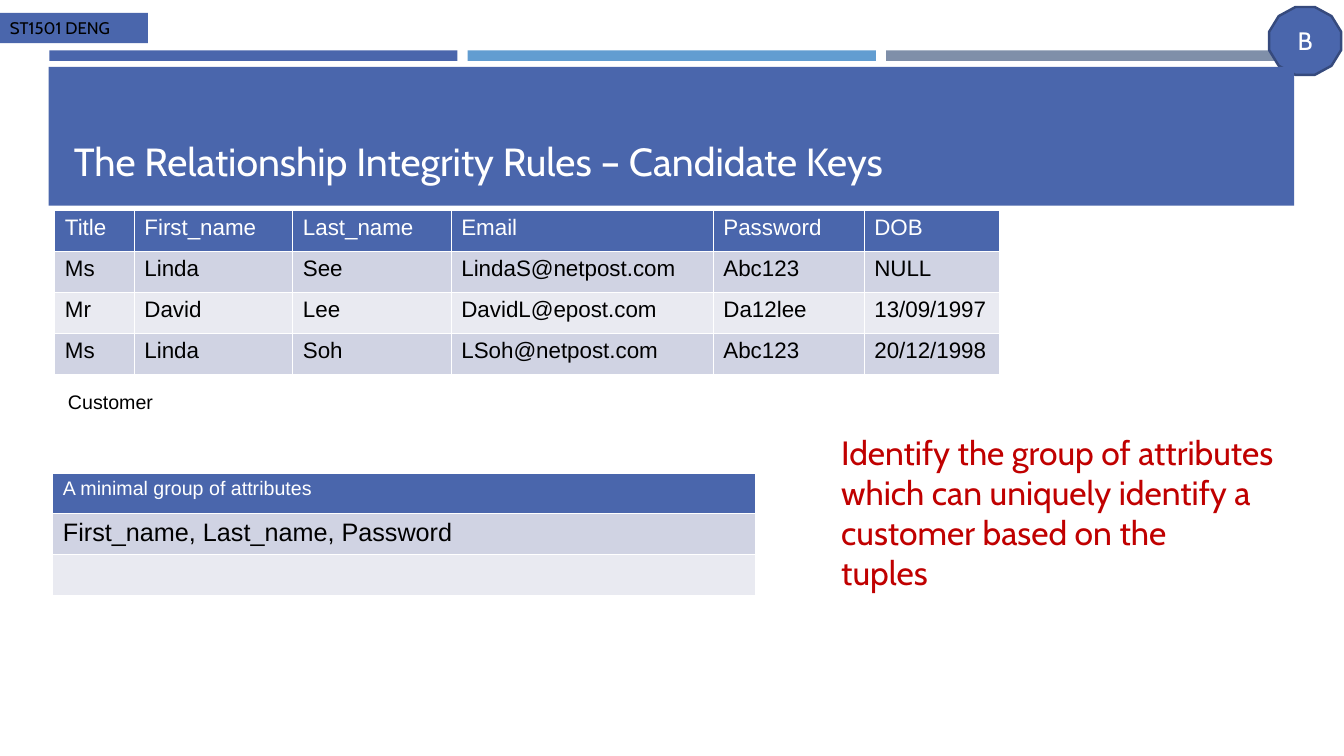
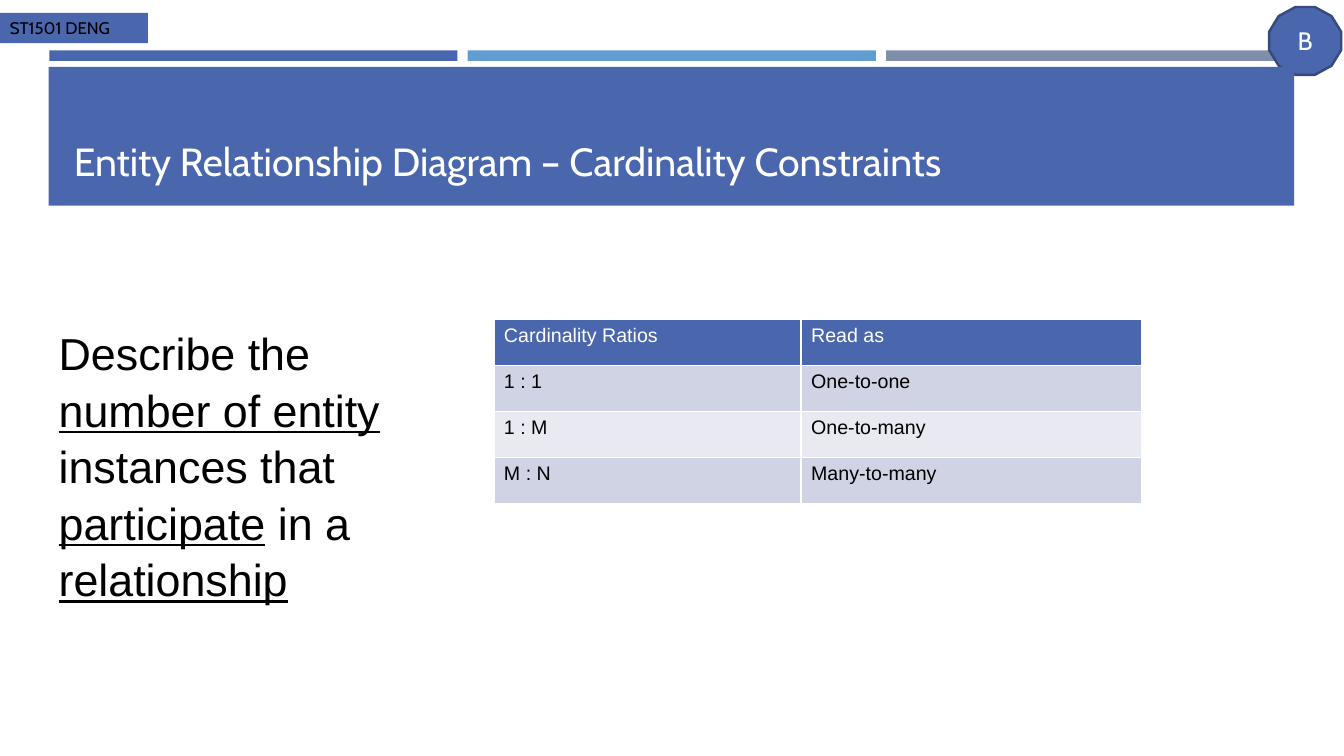
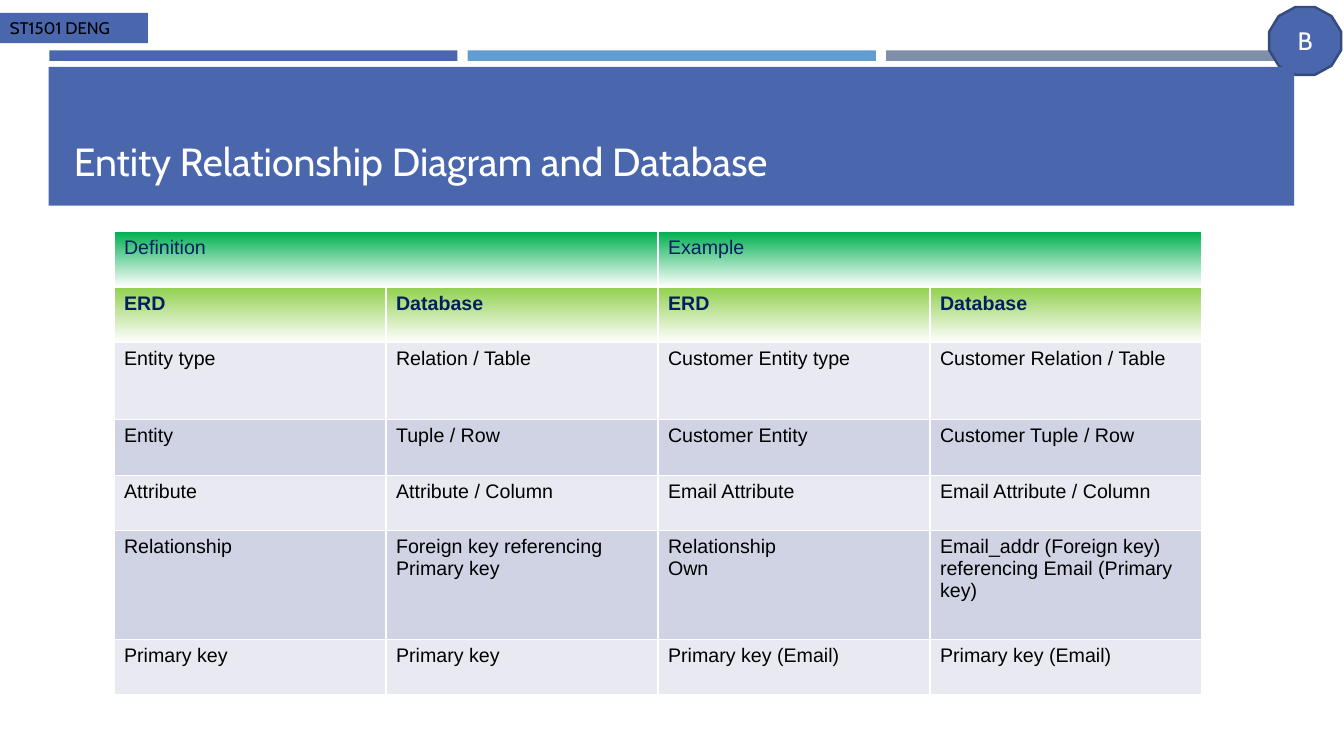
from dataclasses import dataclass
from itertools import accumulate

from lxml.etree import SubElement
from pptx import Presentation
from pptx.dml.color import RGBColor
from pptx.enum.shapes import MSO_SHAPE as Preset
from pptx.enum.text import MSO_ANCHOR as Anchor, PP_ALIGN as Align
from pptx.oxml.ns import qn
from pptx.shapes.autoshape import Shape
from pptx.slide import Slide
from pptx.text.text import TextFrame
from pptx.util import Pt

BLUE, SKY, SLATE, NAVY = "4A66AC", "629DD1", "7F8FA9", "364A7D"
WHITE, BLACK, RED, INK = "FFFFFF", "000000", "C00000", "002060"
BAND_DARK, BAND_LIGHT = "D0D3E3", "E9EAF1"
GREEN, LIME = "00B050", "92D050"
HEADING_FONT, BODY_FONT = "Cabin", "Arial"


@dataclass(frozen=True)
class Box:
    left: float
    top: float
    width: float
    height: float

    def lengths(self) -> tuple[Pt, Pt, Pt, Pt]:
        return Pt(self.left), Pt(self.top), Pt(self.width), Pt(self.height)


@dataclass(frozen=True)
class TextStyle:
    size: float
    color: str = BLACK
    font: str = BODY_FONT
    bold: bool = False


@dataclass(frozen=True)
class Run:
    text: str
    underline: bool = False


@dataclass(frozen=True)
class Row:
    """One table row; a None cell is joined to the cell on its left."""
    height: float
    fill: str
    style: TextStyle
    cells: list[str | None]
    fades: bool = False


def color(hex_code: str) -> RGBColor:
    return RGBColor.from_string(hex_code)


def write(frame: TextFrame, paragraphs: list[list[Run]], style: TextStyle,
          align: Align = Align.LEFT, spacing: float = 1.0) -> None:
    for index, runs in enumerate(paragraphs):
        paragraph = frame.add_paragraph() if index else frame.paragraphs[0]
        paragraph.alignment, paragraph.line_spacing = align, spacing
        for part in runs:
            run = paragraph.add_run()
            run.text = part.text
            font = run.font
            font.name, font.size, font.bold = style.font, Pt(style.size), style.bold
            font.color.rgb = color(style.color)
            if part.underline:
                font.underline = True


def plain(text: str) -> list[list[Run]]:
    return [[Run(line)] for line in text.split("\n")]


def add_block(slide: Slide, box: Box, fill: str, preset: Preset = Preset.RECTANGLE) -> Shape:
    block = slide.shapes.add_shape(preset, *box.lengths())
    block.shadow.inherit = False
    block.fill.solid()
    block.fill.fore_color.rgb = color(fill)
    block.line.fill.background()
    return block


def add_text(slide: Slide, box: Box, paragraphs: list[list[Run]], style: TextStyle,
             anchor: Anchor = Anchor.TOP, wrap: bool = True, spacing: float = 1.0) -> None:
    frame = slide.shapes.add_textbox(*box.lengths()).text_frame
    frame.word_wrap, frame.vertical_anchor = wrap, anchor
    write(frame, paragraphs, style, spacing=spacing)


def add_table(slide: Slide, left: float, top: float, widths: list[float],
              rows: list[Row]) -> None:
    box = Box(left, top, sum(widths), sum(row.height for row in rows))
    table = slide.shapes.add_table(len(rows), len(widths), *box.lengths()).table
    table.horz_banding = False
    for column, width in zip(table.columns, widths):
        column.width = Pt(width)
    for y, row in enumerate(rows):
        table.rows[y].height = Pt(row.height)
        for x, text in enumerate(row.cells):
            cell = table.cell(y, x)
            properties = cell._tc.get_or_add_tcPr()
            for side in "LRTB":
                border = SubElement(properties, qn(f"a:ln{side}"), w=str(Pt(1)))
                paint = SubElement(border, qn("a:solidFill"))
                SubElement(paint, qn("a:srgbClr"), val=WHITE)
            if row.fades:
                cell.fill.gradient()
                cell.fill.gradient_angle = 270
                for stop, shade in zip(cell.fill.gradient_stops, (row.fill, WHITE)):
                    stop.color.rgb = color(shade)
            else:
                cell.fill.solid()
                cell.fill.fore_color.rgb = color(row.fill)
            if text is None:
                table.cell(y, x - 1).merge(cell)
            elif text:
                write(cell.text_frame, plain(text), row.style)


def new_slide(deck: Presentation, title: str) -> Slide:
    """Add a slide with the course tag, bars, badge and title band."""
    slide = deck.slides.add_slide(deck.slide_layouts[6])
    for index, fill in enumerate((BLUE, SKY, SLATE)):
        add_block(slide, Box(35.2 + 298.9 * index, 36, 291.6, 7.5), fill)

    badge = add_block(slide, Box(906.5, 5, 51.5, 48.5), BLUE, Preset.DODECAGON)
    badge.line.color.rgb = color(NAVY)
    badge.line.width = Pt(1.75)
    badge.text_frame.vertical_anchor = Anchor.MIDDLE
    write(badge.text_frame, plain("B"), TextStyle(18, WHITE, HEADING_FONT), Align.CENTER)

    course_tag = add_block(slide, Box(0, 9.2, 105.6, 21.6), BLUE)
    course_tag.text_frame.vertical_anchor = Anchor.TOP
    write(course_tag.text_frame, plain("ST1501 DENG"), TextStyle(12, BLACK, HEADING_FONT))

    add_block(slide, Box(34.8, 47.8, 889.6, 99.2), BLUE)
    add_text(slide, Box(45.6, 57.6, 868, 77.8), plain(title),
             TextStyle(28, WHITE, HEADING_FONT), Anchor.BOTTOM)
    return slide


def add_candidate_keys(deck: Presentation) -> None:
    slide = new_slide(deck, "The Relationship Integrity Rules – Candidate Keys")
    height, body = 29.25, TextStyle(16)
    add_table(slide, 37.8, 337.8, [502.2], [
        Row(height, BLUE, TextStyle(14, WHITE), ["A minimal group of attributes"]),
        Row(height, BAND_DARK, TextStyle(18), ["First_name, Last_name, Password"]),
        Row(height, BAND_LIGHT, TextStyle(18), [""]),
    ])
    add_table(slide, 39.2, 150.4, [56.8, 113.2, 113.2, 187.2, 107.8, 96.4], [
        Row(height, BLUE, TextStyle(16, WHITE),
            ["Title", "First_name", "Last_name", "Email", "Password", "DOB"]),
        Row(height, BAND_DARK, body,
            ["Ms", "Linda", "See", "LindaS@netpost.com", "Abc123", "NULL"]),
        Row(height, BAND_LIGHT, body,
            ["Mr", "David", "Lee", "DavidL@epost.com", "Da12lee", "13/09/1997"]),
        Row(height, BAND_DARK, body,
            ["Ms", "Linda", "Soh", "LSoh@netpost.com", "Abc123", "20/12/1998"]),
    ])
    add_text(slide, Box(41.5, 275, 93.6, 28.8), plain("Customer"), TextStyle(14), wrap=False)
    task = ("Identify the group of attributes which can uniquely identify "
            "a customer based on the\ntuples")
    add_text(slide, Box(593.8, 304.6, 349.2, 123.8), plain(task),
             TextStyle(24, RED, HEADING_FONT))


def add_cardinality(deck: Presentation) -> None:
    slide = new_slide(deck, "Entity Relationship Diagram – Cardinality Constraints")
    height, body = 32.9, TextStyle(14)
    add_table(slide, 352.8, 228, [219.4, 243], [
        Row(height, BLUE, TextStyle(14, WHITE), ["Cardinality Ratios", "Read as"]),
        Row(height, BAND_DARK, body, ["1 : 1", "One-to-one"]),
        Row(height, BAND_LIGHT, body, ["1 : M", "One-to-many"]),
        Row(height, BAND_DARK, body, ["M : N", "Many-to-many"]),
    ])
    definition = [Run("Describe the "), Run("number of entity ", True), Run("instances that "),
                  Run("participate", True), Run(" in a "), Run("relationship", True)]
    add_text(slide, Box(34.8, 227.5, 255, 201), [definition], TextStyle(32), spacing=1.05)


def add_diagram_and_database(deck: Presentation) -> None:
    slide = new_slide(deck, "Entity Relationship Diagram and Database")
    short, medium, tall = 39.6, 55, 77.9
    body = TextStyle(14)
    add_table(slide, 81.4, 165.6, [194.3] * 4, [
        Row(short, GREEN, TextStyle(14, INK), ["Definition", None, "Example", None], True),
        Row(short, LIME, TextStyle(14, INK, bold=True), ["ERD", "Database"] * 2, True),
        Row(medium, BAND_LIGHT, body, ["Entity type", "Relation / Table",
                                       "Customer Entity type", "Customer Relation / Table"]),
        Row(short, BAND_DARK, body, ["Entity", "Tuple / Row",
                                     "Customer Entity", "Customer Tuple / Row"]),
        Row(short, BAND_LIGHT, body, ["Attribute", "Attribute / Column",
                                      "Email Attribute", "Email Attribute / Column"]),
        Row(tall, BAND_DARK, body, ["Relationship", "Foreign key referencing Primary key",
                                    "Relationship\nOwn",
                                    "Email_addr (Foreign key) referencing Email (Primary key)"]),
        Row(short, BAND_LIGHT, body, ["Primary key"] * 2 + ["Primary key (Email)"] * 2),
    ])


def main() -> None:
    deck = Presentation()
    deck.slide_width, deck.slide_height = Pt(960), Pt(540)
    add_candidate_keys(deck)
    add_cardinality(deck)
    add_diagram_and_database(deck)
    deck.save("out.pptx")


if __name__ == "__main__":
    main()
